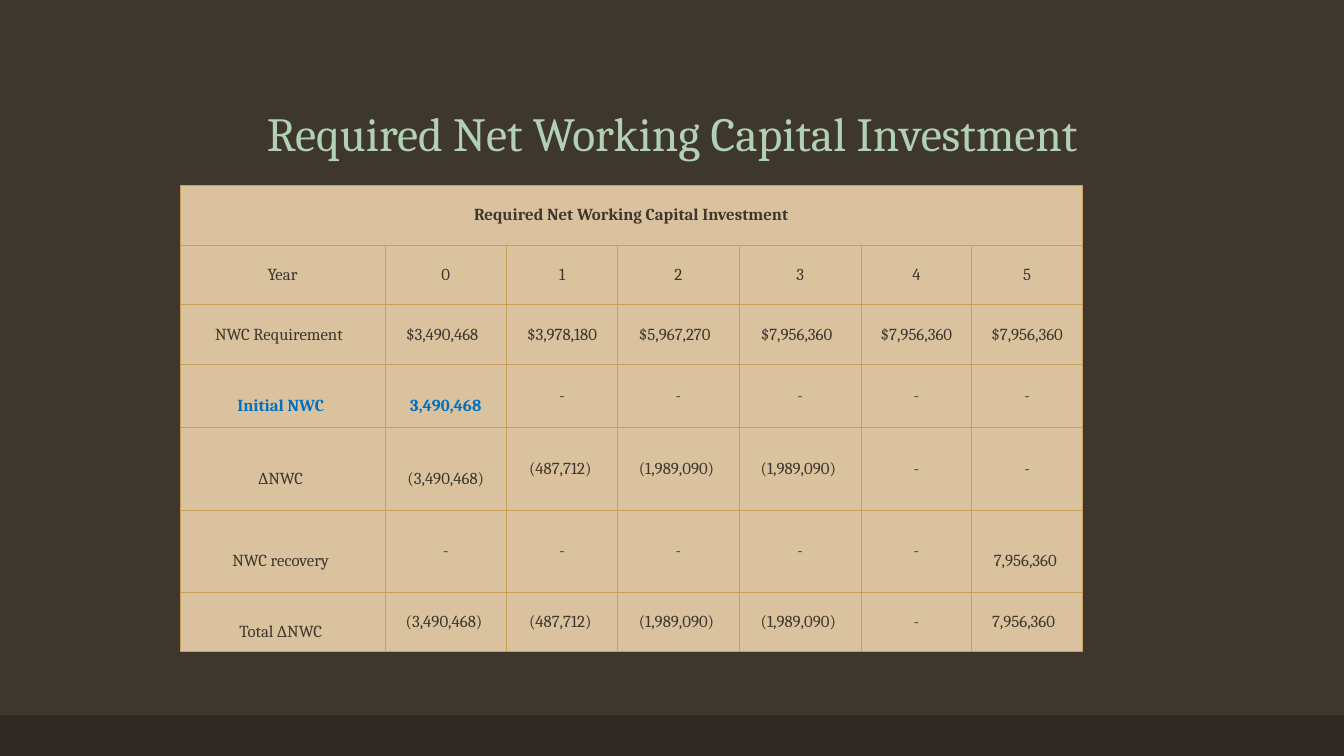
import lxml.etree
import pptx
import pptx.dml.color
import pptx.enum.shapes
import pptx.enum.text
import pptx.oxml.ns
import pptx.util

Cm, Pt = pptx.util.Cm, pptx.util.Pt
Anchor = pptx.enum.text.MSO_ANCHOR
qn = pptx.oxml.ns.qn

COLORS = {
    "background": "3D372E",
    "footer": "2E2923",
    "title": "B2D0B4",
    "cell": "DBC29E",
    "border": "C9A057",
    "ink": "3D372E",
    "accent": "0070C0",
}
COLUMN_WIDTHS = [5.16, 3.07, 2.79, 3.07, 3.07, 2.79, 2.79]
ROW_HEIGHTS = [1.5, 1.5, 1.5, 1.6, 2.07, 2.07, 1.5]
HEADING = "Required Net Working Capital Investment"
ROWS = [
    [HEADING],
    ["Year", "0", "1", "2", "3", "4", "5"],
    ["NWC Requirement", "$3,490,468", "$3,978,180", "$5,967,270",
     "$7,956,360", "$7,956,360", "$7,956,360"],
    ["Initial NWC", "3,490,468", "-", "-", "-", "-", "-"],
    ["∆NWC", "(3,490,468)", "(487,712)", "(1,989,090)", "(1,989,090)", "-", "-"],
    ["NWC recovery", "-", "-", "-", "-", "-", "7,956,360"],
    ["Total ∆NWC", "(3,490,468)", "(487,712)", "(1,989,090)", "(1,989,090)",
     "-", "7,956,360"],
]
# Extra right inset of each cell, in steps of INSET_STEP
RIGHT_INSETS = [
    [0],
    [0, 0, 0, 0, 0, 0, 0],
    [2, 2, 0, 2, 2, 0, 0],
    [1, 0, 0, 0, 0, 0, 0],
    [1, 0, 1, 1, 1, 0, 0],
    [1, 0, 0, 0, 0, 0, 1],
    [1, 1, 1, 1, 1, 0, 2],
]
INSET_STEP = 0.09
LOWERED_CELLS = {(3, 0), (3, 1), (4, 0), (4, 1), (5, 0), (5, 6), (6, 0)}
LOWERED_INSET = 0.5


def rgb(name):
    return pptx.dml.color.RGBColor.from_string(COLORS[name])


def write(frame, text, size=12, color="ink", bold=False, font="Cambria", spacing=None):
    """Put one centred paragraph into a text frame."""
    para = frame.paragraphs[0]
    para.alignment = pptx.enum.text.PP_ALIGN.CENTER
    if spacing:
        para.line_spacing = spacing
    span = para.add_run()
    span.text = text
    span.font.name = font
    span.font.size = Pt(size)
    span.font.bold = bold
    span.font.color.rgb = rgb(color)


class SlideBuilder:
    def __init__(self, deck):
        self.page = deck.slides.add_slide(deck.slide_layouts[6])
        self.page.background.fill.solid()
        self.page.background.fill.fore_color.rgb = rgb("background")

    def bar(self, left, top, width, height, color):
        box = self.page.shapes.add_shape(
            pptx.enum.shapes.MSO_SHAPE.RECTANGLE,
            Cm(left), Cm(top), Cm(width), Cm(height))
        box.shadow.inherit = False
        box.fill.solid()
        box.fill.fore_color.rgb = rgb(color)
        box.line.fill.background()

    def title(self, text, left, top, width, height):
        box = self.page.shapes.add_textbox(Cm(left), Cm(top), Cm(width), Cm(height))
        box.text_frame.word_wrap = True
        box.text_frame.vertical_anchor = Anchor.BOTTOM
        write(box.text_frame, text, size=34, color="title", spacing=0.9)

    def style_cell(self, cell):
        """Give a cell its borders and then its fill."""
        properties = cell._tc.get_or_add_tcPr()
        for side in ("a:lnL", "a:lnR", "a:lnT", "a:lnB"):
            line = lxml.etree.SubElement(properties, qn(side), w=str(Pt(0.5)))
            fill = lxml.etree.SubElement(line, qn("a:solidFill"))
            lxml.etree.SubElement(fill, qn("a:srgbClr"), val=COLORS["border"])
        cell.fill.solid()
        cell.fill.fore_color.rgb = rgb("cell")
        cell.vertical_anchor = Anchor.MIDDLE

    def capital_table(self, left, top):
        table = self.page.shapes.add_table(
            len(ROW_HEIGHTS), len(COLUMN_WIDTHS), Cm(left), Cm(top),
            Cm(sum(COLUMN_WIDTHS)), Cm(sum(ROW_HEIGHTS))).table
        table.first_row = table.horz_banding = False
        for column, width in zip(table.columns, COLUMN_WIDTHS):
            column.width = Cm(width)
        for row, height in zip(table.rows, ROW_HEIGHTS):
            row.height = Cm(height)
        for cell in table.iter_cells():
            self.style_cell(cell)
        table.cell(0, 0).merge(table.cell(0, len(COLUMN_WIDTHS) - 1))

        for r, (texts, insets) in enumerate(zip(ROWS, RIGHT_INSETS)):
            for c, (text, inset) in enumerate(zip(texts, insets)):
                cell = table.cell(r, c)
                lowered = LOWERED_INSET if (r, c) in LOWERED_CELLS else 0
                cell.margin_left = Cm(0.18)
                cell.margin_right = Cm(0.18 + inset * INSET_STEP)
                cell.margin_top = Cm(0.08 + lowered)
                cell.margin_bottom = Cm(0.08)
                accent = r == 3 and c < 2
                write(cell.text_frame, text, bold=r == 0 or accent,
                      color="accent" if accent else "ink")


def main():
    deck = pptx.Presentation()
    deck.slide_width, deck.slide_height = Cm(33.87), Cm(19.05)
    builder = SlideBuilder(deck)
    builder.bar(0, 18.03, 33.87, 1.02, "footer")
    builder.title(HEADING, 2.34, 1.02, 29.21, 3.18)
    builder.capital_table(4.54, 4.68)
    deck.save("out.pptx")


if __name__ == "__main__":
    main()
